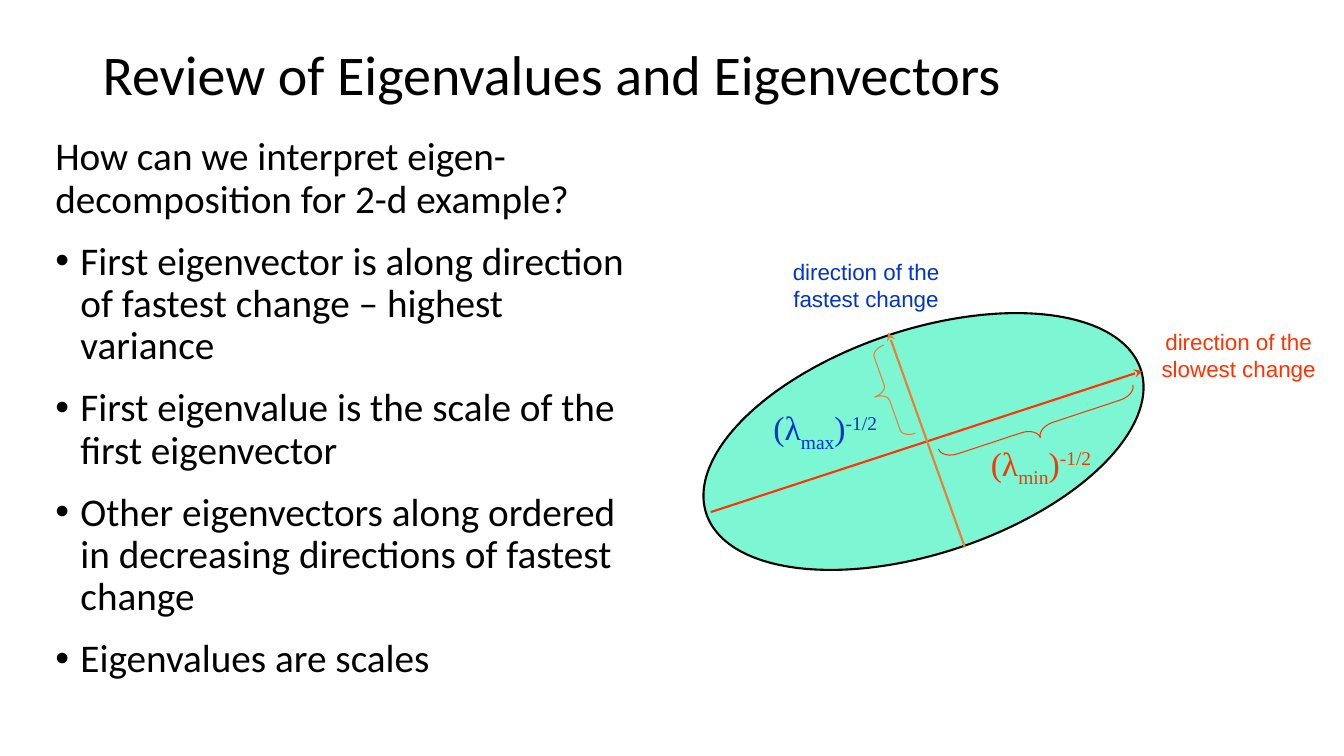
"""Builds the slide that reviews eigenvalues and eigenvectors."""
from lxml.etree import SubElement
from pptx import Presentation
from pptx.dml.color import RGBColor
from pptx.enum.shapes import MSO_CONNECTOR, MSO_SHAPE
from pptx.enum.text import MSO_ANCHOR, PP_ALIGN
from pptx.oxml.ns import qn
from pptx.util import Inches, Pt

COLORS = {
    "text": "000000",
    "slow": "FF3300",
    "fast": "0033CC",
    "axis": "ED7D31",
    "ellipse": "7CF6D3",
}


class SlideBuilder:
    def __init__(self, prs):
        self.slide = prs.slides.add_slide(prs.slide_layouts[6])
        self.heading = {"name": "Calibri", "size": Pt(40)}
        self.body = {"name": "Calibri", "size": Pt(28)}
        self.label = {"name": "Arial", "size": Pt(16)}
        self.math = {"name": "Times New Roman", "size": Pt(24)}
        self.centered = {"alignment": PP_ALIGN.CENTER}

    def color(self, key):
        return RGBColor.from_string(COLORS[key])

    def box(self, at, anchor=MSO_ANCHOR.TOP):
        tf = self.slide.shapes.add_textbox(*map(Inches, at)).text_frame
        tf.word_wrap = True
        tf.vertical_anchor = anchor
        return tf

    def paragraph(self, tf, runs, font, color, fmt, bullet=False):
        p = tf.paragraphs[0]
        if p.runs:
            p = tf.add_paragraph()
        for name, value in fmt.items():
            setattr(p, name, value)
        if bullet:
            pPr = p._p.get_or_add_pPr()
            pPr.set("marL", str(Inches(0.25)))
            pPr.set("indent", str(-Inches(0.25)))
            SubElement(pPr, qn("a:buFont"), typeface="Arial")
            SubElement(pPr, qn("a:buChar"), char="•")
        for text, baseline in runs:
            r = p.add_run()
            r.text = text
            for name, value in font.items():
                setattr(r.font, name, value)
            r.font.color.rgb = self.color(color)
            if baseline:
                r._r.get_or_add_rPr().set("baseline", str(baseline * 1000))

    def title(self, at, text):
        tf = self.box(at, MSO_ANCHOR.MIDDLE)
        self.paragraph(tf, [(text, 0)], self.heading, "text", {"line_spacing": 0.9})

    def bullets(self, at, intro, items):
        tf = self.box(at)
        fmt = {"line_spacing": 0.9, "space_before": Pt(14)}
        self.paragraph(tf, [(intro, 0)], self.body, "text", fmt)
        for item in items:
            self.paragraph(tf, [(item, 0)], self.body, "text", fmt, bullet=True)

    def caption(self, at, text, color):
        self.paragraph(self.box(at), [(text, 0)], self.label, color, self.centered)

    def eigen_length(self, at, subscript, color):
        runs = [("(λ", 0), (subscript, -25), (")", 0), ("-1/2", 30)]
        self.paragraph(self.box(at), runs, self.math, color, self.centered)

    def shape(self, kind, at, rotation, line, width, fill=None, adjustments=()):
        sp = self.slide.shapes.add_shape(kind, *map(Inches, at))
        sp.shadow.inherit = False
        sp.rotation = rotation
        for i, value in enumerate(adjustments):
            sp.adjustments[i] = value
        if fill:
            sp.fill.solid()
            sp.fill.fore_color.rgb = self.color(fill)
        else:
            sp.fill.background()
        sp.line.color.rgb = self.color(line)
        sp.line.width = Pt(width)

    def arrow(self, start, end, color):
        sp = self.slide.shapes.add_connector(
            MSO_CONNECTOR.STRAIGHT, *map(Inches, start + end))
        sp.line.color.rgb = self.color(color)
        sp.line.width = Pt(1.5)
        spPr = sp._element.spPr
        SubElement(spPr.find(qn("a:ln")), qn("a:tailEnd"), type="stealth")
        SubElement(spPr, qn("a:effectLst"))


def main():
    prs = Presentation()
    prs.slide_width, prs.slide_height = Inches(13.33), Inches(7.5)
    s = SlideBuilder(prs)

    s.title((0.92, 0.4, 11.5, 0.73), "Review of Eigenvalues and Eigenvectors")
    s.bullets(
        (0.45, 1.31, 6.03, 5.92),
        "How can we interpret eigen-decomposition for 2-d example?",
        [
            "First eigenvector is along direction of fastest change – highest variance",
            "First eigenvalue is the scale of the first eigenvector",
            "Other eigenvectors along ordered in decreasing directions of fastest change",
            "Eigenvalues are scales",
        ],
    )

    s.caption((11.35, 3.21, 1.87, 0.67), "direction of the slowest change", "slow")
    s.caption((7.61, 2.51, 1.96, 0.67), "direction of the fastest change", "fast")

    s.shape(MSO_SHAPE.OVAL, (6.89, 3.27, 4.54, 2.22), 341.6, "text", 1.5, "ellipse")
    s.arrow((7.05, 5.08), (11.33, 3.68), "slow")
    s.arrow((9.57, 5.43), (8.81, 3.3), "axis")
    for at, rotation, color, curve in (
        ((10.2, 3.22, 0.21, 2.03), 251.7, "slow", 0.79),
        ((8.67, 3.44, 0.26, 0.93), 340.4, "axis", 0.31),
    ):
        s.shape(MSO_SHAPE.LEFT_BRACE, at, rotation, color, 0.75,
                adjustments=(curve, 0.49))

    s.eigen_length((7.16, 3.99, 2.05, 0.52), "max", "fast")
    s.eigen_length((9.3, 4.34, 2.05, 0.52), "min", "slow")

    prs.save("out.pptx")


if __name__ == "__main__":
    main()
